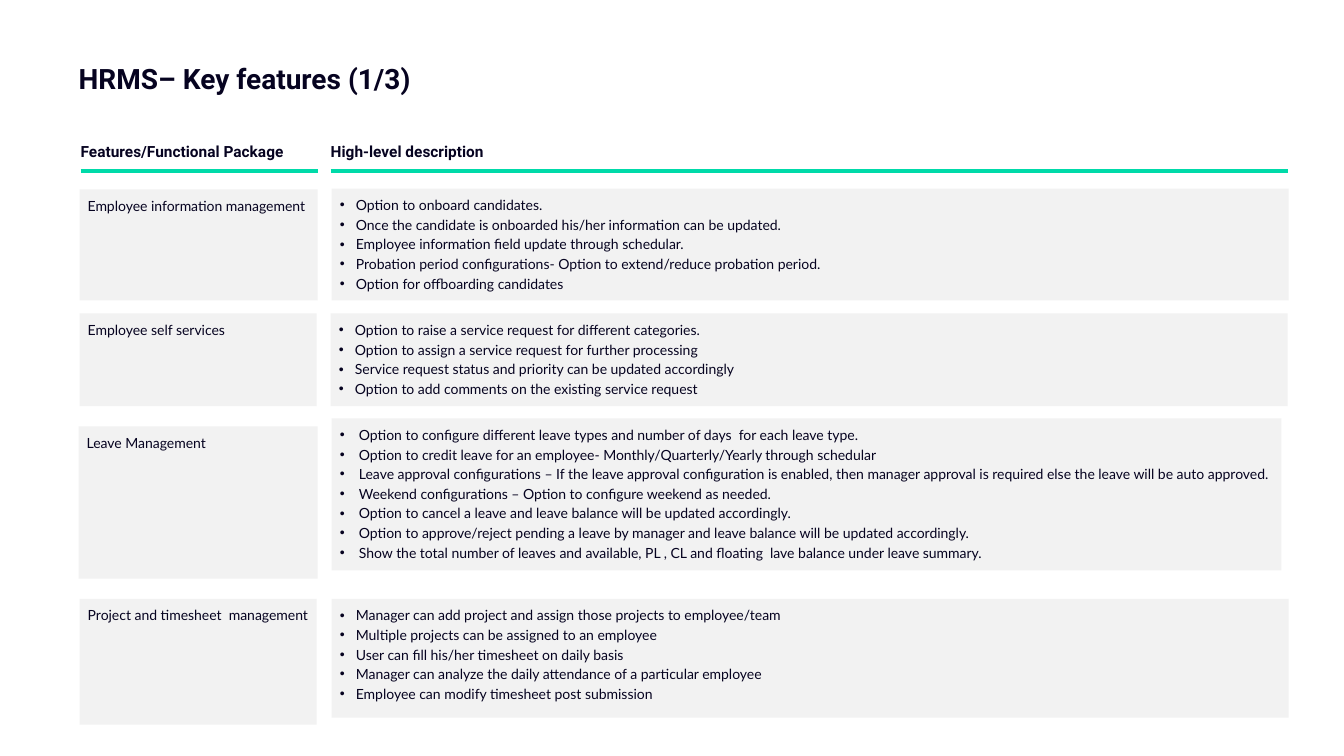
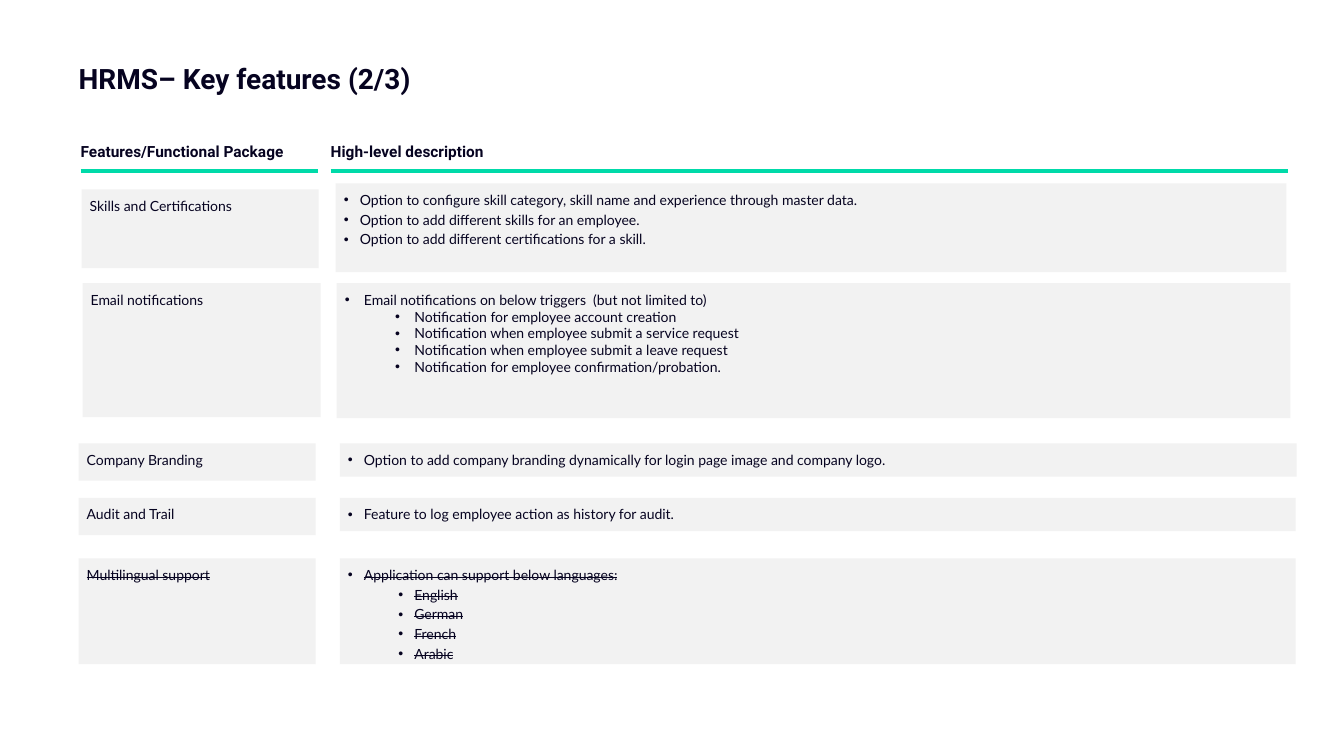
from dataclasses import dataclass
from pptx import Presentation
from pptx import util as u
from pptx.dml.color import RGBColor
from pptx.enum import shapes, text
from pptx.oxml.ns import qn
from lxml import etree


@dataclass(frozen=True)
class Theme:
    ink: str = "060320"
    green: str = "00DAA9"
    grey: str = "F2F2F2"
    head: str = "Roboto"
    body: str = "Lato"
    big: int = 20
    mid: int = 11
    small: int = 10
    rule: int = 3
    pad: float = 0.08
    step: float = 0.5


@dataclass
class Row:
    name: str
    left: tuple
    right: tuple
    points: list
    subs: tuple = ()
    dent: float = 0.16
    gap: int = 2
    strike: bool = False


T = Theme()
TITLE = (0.78, 0.53, 11.24, 0.47)
HEADS = [
    ("Features/Functional Package", 0.8, 2.35, 2.35),
    ("High-level description", 3.28, 5.81, 9.49),
]
HEAD_TOP, HEAD_H, RULE_Y = 1.4, 0.23, 1.7

PAGES = [
    ("HRMS– Key features (1/3)", [
        Row("Employee information management", (0.79, 1.88, 2.36, 1.1), (3.29, 1.87, 9.49, 1.11), [
            "Option to onboard candidates.",
            "Once the candidate is onboarded his/her information can be updated.",
            "Employee information field update through schedular.",
            "Probation period configurations- Option to extend/reduce probation period.",
            "Option for offboarding candidates",
        ]),
        Row("Employee self services", (0.79, 3.11, 2.35, 0.92), (3.28, 3.11, 9.49, 0.92), [
            "Option to raise a service request for different categories.",
            "Option to assign a service request for further processing",
            "Service request status and priority can be updated accordingly",
            "Option to add comments on the existing service request",
        ]),
        Row("Leave Management", (0.78, 4.23, 2.37, 1.51), (3.29, 4.15, 9.42, 1.51), [
            "Option to configure different leave types and number of days  for each leave type.",
            "Option to credit leave for an employee- Monthly/Quarterly/Yearly through schedular",
            "Leave approval configurations – If the leave approval configuration is enabled, "
            "then manager approval is required else the leave will be auto approved.",
            "Weekend configurations – Option to configure weekend as needed.",
            "Option to cancel a leave and leave balance will be updated accordingly.",
            "Option to approve/reject pending a leave by manager and leave balance will be updated accordingly.",
            "Show the total number of leaves and available, PL , CL and floating  lave balance under leave summary.",
        ], dent=0.19),
        Row("Project and timesheet  management", (0.79, 5.94, 2.35, 1.25), (3.29, 5.94, 9.49, 1.18), [
            "Manager can add project and assign those projects to employee/team",
            "Multiple projects can be assigned to an employee",
            "User can fill his/her timesheet on daily basis",
            "Manager can analyze the daily attendance of a particular employee",
            "Employee can modify timesheet post submission",
        ]),
    ]),
    ("HRMS– Key features (2/3)", [
        Row("Skills and Certifications", (0.81, 1.88, 2.35, 0.78), (3.33, 1.82, 9.43, 0.88), [
            "Option to configure skill category, skill name and experience through master data.",
            "Option to add different skills for an employee.",
            "Option to add different certifications for a skill.",
        ]),
        Row("Email notifications", (0.82, 2.81, 2.36, 1.33), (3.34, 2.81, 9.46, 1.34), [
            "Email notifications on below triggers  (but not limited to)",
        ], (
            "Notification for employee account creation",
            "Notification when employee submit a service request",
            "Notification when employee submit a leave request",
            "Notification for employee confirmation/probation.",
        ), dent=0.19, gap=0),
        Row("Company Branding", (0.78, 4.4, 2.35, 0.37), (3.37, 4.4, 9.49, 0.33), [
            "Option to add company branding dynamically for login page image and company logo.",
        ]),
        Row("Audit and Trail", (0.78, 4.94, 2.35, 0.37), (3.37, 4.94, 9.48, 0.33), [
            "Feature to log employee action as history for audit.",
        ]),
        Row("Multilingual support", (0.78, 5.54, 2.35, 1.05), (3.37, 5.54, 9.48, 1.05), [
            "Application can support below languages:",
        ], ("English", "German", "French", "Arabic"), strike=True),
    ]),
]


def rgb(code):
    return RGBColor.from_string(code)


def place(box):
    return [u.Inches(n) for n in box]


def style(para, face, size, bold=False):
    font = para.font
    font.name, font.size, font.bold = face, u.Pt(size), bold
    font.color.rgb = rgb(T.ink)
    para.alignment = text.PP_ALIGN.LEFT


def frame(shape, pads, anchor=text.MSO_ANCHOR.TOP):
    body = shape.text_frame
    body.word_wrap = True
    body.auto_size = text.MSO_AUTO_SIZE.NONE
    body.vertical_anchor = anchor
    sides = place(pads)
    body.margin_left, body.margin_top, body.margin_right, body.margin_bottom = sides
    return body


def bullet(para, level, dent):
    para.level = level
    props = para._p.get_or_add_pPr()
    props.set("marL", str(u.Inches(level * T.step + dent)))
    props.set("indent", str(-u.Inches(dent)))
    etree.SubElement(props, qn("a:buFont")).set("typeface", "Arial")
    etree.SubElement(props, qn("a:buChar")).set("char", "•")


def card(slide, box, items, row, marks):
    shape = slide.shapes.add_shape(shapes.MSO_SHAPE.RECTANGLE, *place(box))
    shape.shadow.inherit = False
    shape.fill.solid()
    shape.fill.fore_color.rgb = rgb(T.grey)
    shape.line.fill.background()
    body = frame(shape, [T.pad] * 4)
    for i, (level, words) in enumerate(items):
        para = body.add_paragraph() if i else body.paragraphs[0]
        run = para.add_run()
        run.text = words
        if row.strike:
            run._r.get_or_add_rPr().set("strike", "sngStrike")
        if marks:
            bullet(para, level, row.dent)
            para.space_after = u.Pt(row.gap)
        style(para, T.body, T.small)


def header(slide, words, left, wide, span):
    label = slide.shapes.add_textbox(*place((left, HEAD_TOP, wide, HEAD_H)))
    para = frame(label, [0] * 4, text.MSO_ANCHOR.MIDDLE).paragraphs[0]
    para.text = words
    para.line_spacing = 0.9
    style(para, T.head, T.mid, True)
    ends = place((left, RULE_Y, left + span, RULE_Y))
    rule = slide.shapes.add_connector(shapes.MSO_CONNECTOR.STRAIGHT, *ends)
    rule.line.color.rgb = rgb(T.green)
    rule.line.width = u.Pt(T.rule)
    etree.SubElement(rule._element.spPr, qn("a:effectLst"))


def page(deck, name, rows):
    slide = deck.slides.add_slide(deck.slide_layouts[5])
    title = slide.shapes.title
    title.left, title.top, title.width, title.height = place(TITLE)
    para = frame(title, (0, 0.08, 0.1, 0.05)).paragraphs[0]
    para.text = name
    style(para, T.head, T.big, True)
    for head in HEADS:
        header(slide, *head)
    for row in rows:
        items = [(0, p) for p in row.points] + [(1, s) for s in row.subs]
        card(slide, row.left, [(0, row.name)], row, False)
        card(slide, row.right, items, row, True)


def main():
    deck = Presentation()
    deck.slide_width, deck.slide_height = place((13.33, 7.5))
    for name, rows in PAGES:
        page(deck, name, rows)
    deck.save("out.pptx")


if __name__ == "__main__":
    main()
